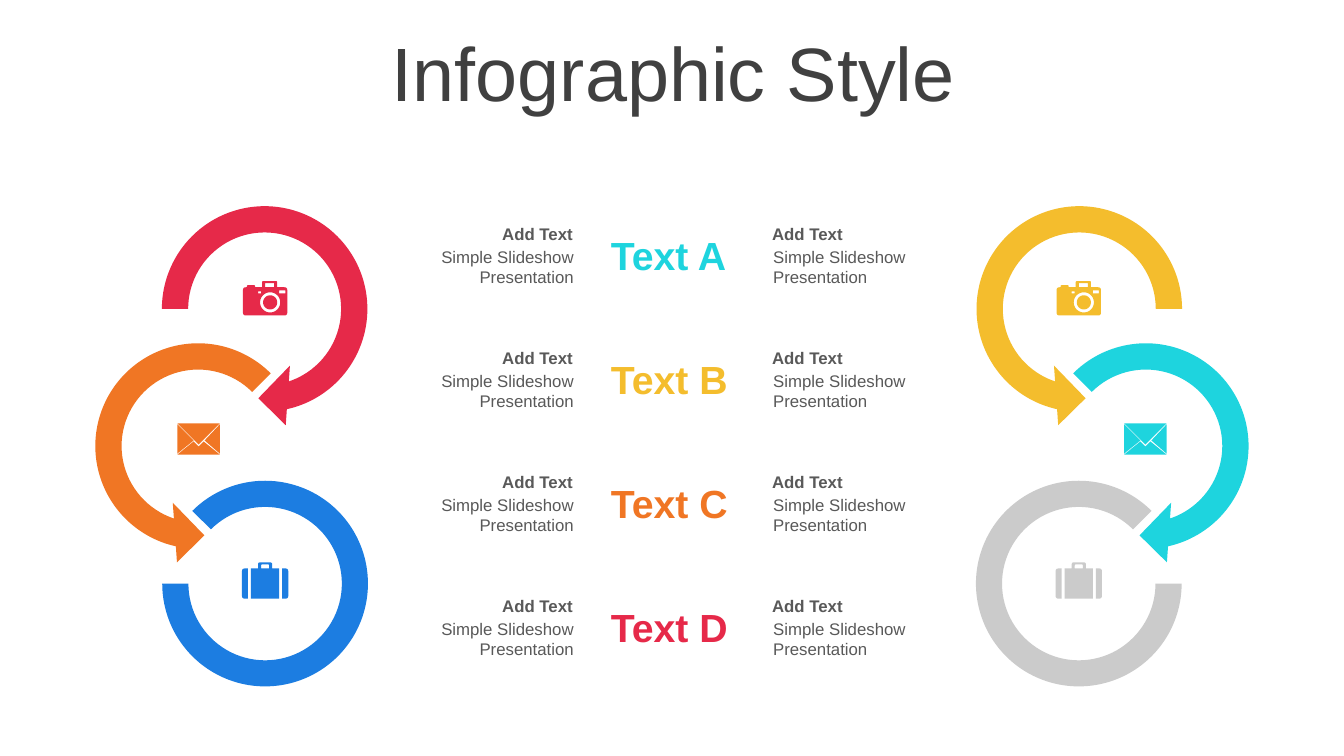
from math import cos, pi, sin

from pptx import Presentation
from pptx.dml.color import RGBColor
from pptx.enum.shapes import MSO_SHAPE
from pptx.enum.text import MSO_ANCHOR, MSO_AUTO_SIZE, PP_ALIGN
from pptx.util import Inches, Pt

RED = RGBColor(0xE6, 0x29, 0x49)
ORANGE = RGBColor(0xF0, 0x76, 0x24)
BLUE = RGBColor(0x1C, 0x7D, 0xE1)
YELLOW = RGBColor(0xF4, 0xBD, 0x2D)
CYAN = RGBColor(0x1E, 0xD4, 0xDE)
SILVER = RGBColor(0xCB, 0xCB, 0xCB)
TITLE_GRAY = RGBColor(0x40, 0x40, 0x40)
TEXT_GRAY = RGBColor(0x59, 0x59, 0x59)

LEFT, CENTER, RIGHT = PP_ALIGN.LEFT, PP_ALIGN.CENTER, PP_ALIGN.RIGHT
MIDDLE, TOP = MSO_ANCHOR.MIDDLE, MSO_ANCHOR.TOP
GROW, FIXED = MSO_AUTO_SIZE.SHAPE_TO_FIT_TEXT, MSO_AUTO_SIZE.NONE

SLIDE_WIDTH, SLIDE_HEIGHT = 13.33, 7.5
ROW_STEP = 1.23
FONT = "Arial"

TITLE = "Infographic Style"
LABELS = [("Text A", CYAN), ("Text B", YELLOW), ("Text C", ORANGE), ("Text D", RED)]
HEADING = "Add Text"
DESCRIPTION = "Simple Slideshow Presentation"
# left of the text column, alignment
TEXT_COLUMNS = [(4.04, RIGHT), (7.56, LEFT)]

# preset, left, top, size, adjustments, colour on the left, colour on the right
RINGS = [
    (MSO_SHAPE.CIRCULAR_ARROW, 1.44, 1.88, 2.37, (0.11, 11.423, 45, 108, 0.125), RED, YELLOW),
    (MSO_SHAPE.LEFT_CIRCULAR_ARROW, 0.78, 3.24, 2.37, (0.11, 11.423, 63, 189, 0.125), ORANGE, CYAN),
    (MSO_SHAPE.BLOCK_ARC, 1.61, 4.77, 2.04, (135, 108, 0.127), BLUE, SILVER),
]


def box(left, top, right, bottom):
    return [(left, top), (right, top), (right, bottom), (left, bottom)]


def circle(x, y, radius, steps=48):
    angles = [2 * pi * step / steps for step in range(steps)]
    return [(x + radius * cos(angle), y + radius * sin(angle)) for angle in angles]


def rounded(*corners):
    """Polygon whose corners are (x, y) or (x, y, corner radius)."""
    points = []
    for index, (x, y, *radius) in enumerate(corners):
        if not radius:
            points.append((x, y))
            continue
        ends = []
        for neighbour in (corners[index - 1], corners[(index + 1) % len(corners)]):
            run, rise = neighbour[0] - x, neighbour[1] - y
            share = radius[0] / (run * run + rise * rise) ** 0.5
            ends.append((run * share, rise * share))
        for step in range(7):
            t = step / 6
            before, after = (1 - t) ** 2, t ** 2
            points.append((x + before * ends[0][0] + after * ends[1][0],
                           y + before * ends[0][1] + after * ends[1][1]))
    return points


ENVELOPE = [
    [(2.02, 4.38), (2.18, 4.51), (1.76, 4.51), (1.92, 4.38), (1.97, 4.43)],
    [(2.18, 4.21), (2.18, 4.5), (2.03, 4.37)],
    [(1.76, 4.21), (1.92, 4.37), (1.76, 4.5)],
    [(1.76, 4.2), (2.18, 4.2), (1.97, 4.41)],
]
CAMERA = [
    circle(2.68, 3, 0.07),
    circle(2.68, 3, 0.1),
    box(2.56, 2.89, 2.59, 2.91),
    box(2.77, 2.88, 2.83, 2.91),
    box(2.63, 2.81, 2.72, 2.85),
    rounded((2.6, 2.79, 0.01), (2.75, 2.79, 0.01), (2.75, 2.85), (2.85, 2.85, 0.03),
            (2.85, 3.13, 0.03), (2.41, 3.13, 0.03), (2.41, 2.85, 0.03), (2.45, 2.85),
            (2.45, 2.83, 0.01), (2.53, 2.83, 0.01), (2.53, 2.85), (2.6, 2.85)),
]
SUITCASE = [
    rounded((2.8, 5.64), (2.86, 5.64, 0.03), (2.86, 5.94, 0.03), (2.8, 5.94)),
    rounded((2.46, 5.64), (2.46, 5.94), (2.4, 5.94, 0.03), (2.4, 5.64, 0.03)),
    rounded((2.59, 5.6, 0.01), (2.67, 5.6, 0.01), (2.67, 5.64), (2.59, 5.64)),
    rounded((2.56, 5.58, 0.02), (2.7, 5.58, 0.02), (2.7, 5.64), (2.77, 5.64),
            (2.77, 5.94), (2.49, 5.94), (2.49, 5.64), (2.56, 5.64)),
]
# contours, centre, colour on the left, colour on the right
ICONS = [
    (ENVELOPE, 1.97, ORANGE, CYAN),
    (CAMERA, 2.63, RED, YELLOW),
    (SUITCASE, 2.63, BLUE, SILVER),
]


def paint(shape, color):
    shape.shadow.inherit = False
    shape.fill.solid()
    shape.fill.fore_color.rgb = color
    shape.line.fill.background()


def write(shape, text, *, size, color, bold=False, align=LEFT, anchor=TOP, fit=GROW, spacing=None):
    frame = shape.text_frame
    frame.word_wrap = True
    frame.auto_size = fit
    frame.vertical_anchor = anchor
    paragraph = frame.paragraphs[0]
    paragraph.text = text
    paragraph.alignment = align
    paragraph.line_spacing = spacing
    font = paragraph.runs[0].font
    font.name, font.size, font.bold = FONT, Pt(size), bold
    font.color.rgb = color


def add_text(shapes, text, left, top, width, height, **style):
    textbox = shapes.add_textbox(Inches(left), Inches(top), Inches(width), Inches(height))
    write(textbox, text, **style)


def add_icon(shapes, contours, shift, color):
    outlines = [[(Inches(x + shift), Inches(y)) for x, y in contour] for contour in contours]
    builder = shapes.build_freeform(*outlines[0][0], scale=1.0)
    for index, outline in enumerate(outlines):
        if index:
            builder.move_to(*outline[0])
        builder.add_line_segments(outline[1:], close=True)
    paint(builder.convert_to_shape(), color)


def add_chain(slide, mirrored):
    """Three linked rings with their icons; the right chain mirrors the left one."""
    group = slide.shapes.add_group_shape()
    for preset, left, top, size, adjustments, *colors in RINGS:
        if mirrored:
            left = SLIDE_WIDTH - left - size
        ring = group.shapes.add_shape(preset, Inches(left), Inches(top), Inches(size), Inches(size))
        for index, value in enumerate(adjustments):
            ring.adjustments[index] = value
        if mirrored:
            ring._element.spPr.xfrm.set("flipH", "1")
        paint(ring, colors[mirrored])
    for contours, center, *colors in ICONS:
        shift = SLIDE_WIDTH - 2 * center if mirrored else 0
        add_icon(slide.shapes, contours, shift, colors[mirrored])


def main():
    presentation = Presentation()
    presentation.slide_width = Inches(SLIDE_WIDTH)
    presentation.slide_height = Inches(SLIDE_HEIGHT)
    slide = presentation.slides.add_slide(presentation.slide_layouts[5])

    title = slide.shapes.title
    title.left, title.top = Inches(0.35), Inches(0.37)
    title.width, title.height = Inches(12.66), Inches(0.79)
    write(title, TITLE, size=54, color=TITLE_GRAY, align=CENTER, anchor=MIDDLE, fit=FIXED, spacing=0.9)

    for mirrored in (False, True):
        add_chain(slide, mirrored)

    for row, (label, color) in enumerate(LABELS):
        add_text(slide.shapes, label, 5.96, 2.25 + row * ROW_STEP, 1.43, 0.57,
                 size=28, color=color, bold=True)
    for left, align in TEXT_COLUMNS:
        for row in range(len(LABELS)):
            top = 2.17 + row * ROW_STEP
            group = slide.shapes.add_group_shape()
            add_text(group.shapes, HEADING, left, top, 1.74, 0.3,
                     size=12, color=TEXT_GRAY, bold=True, align=align)
            add_text(group.shapes, DESCRIPTION, left + 0.01, top + 0.23, 1.74, 0.5,
                     size=12, color=TEXT_GRAY, align=align)

    presentation.save("out.pptx")


if __name__ == "__main__":
    main()
